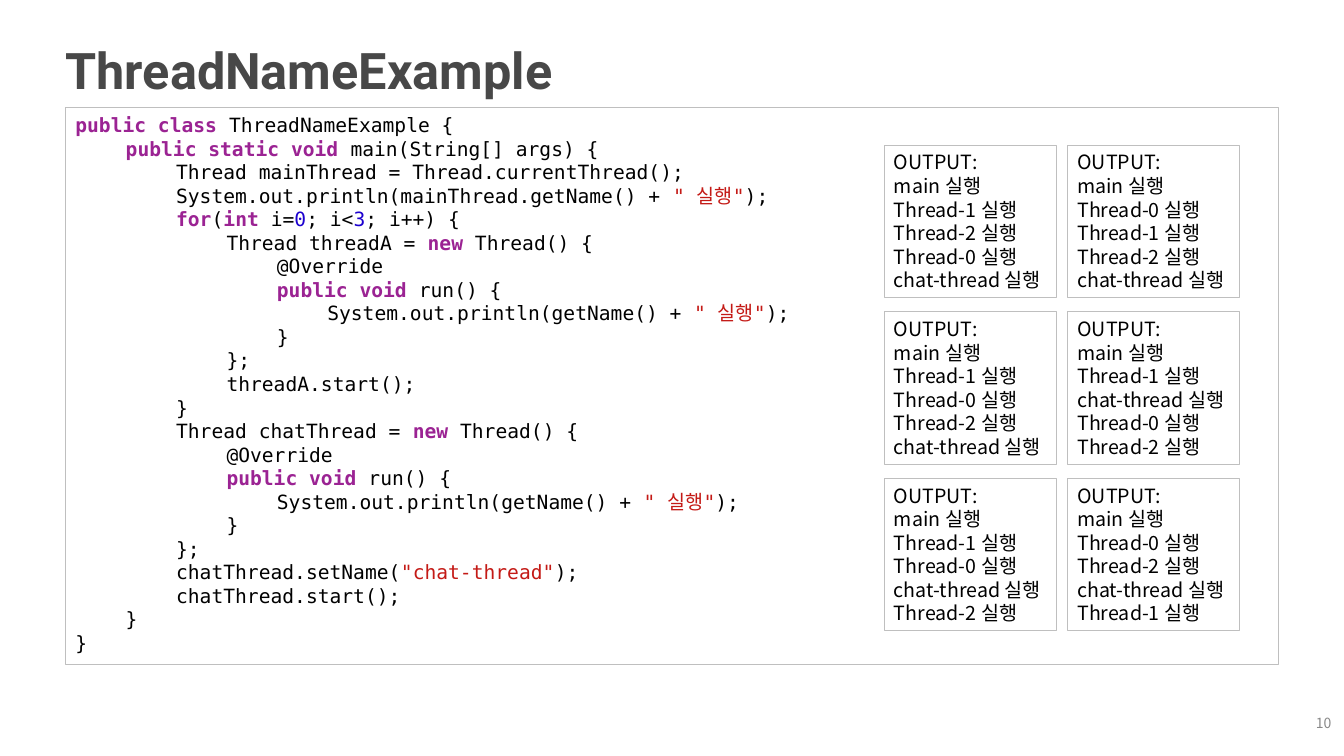
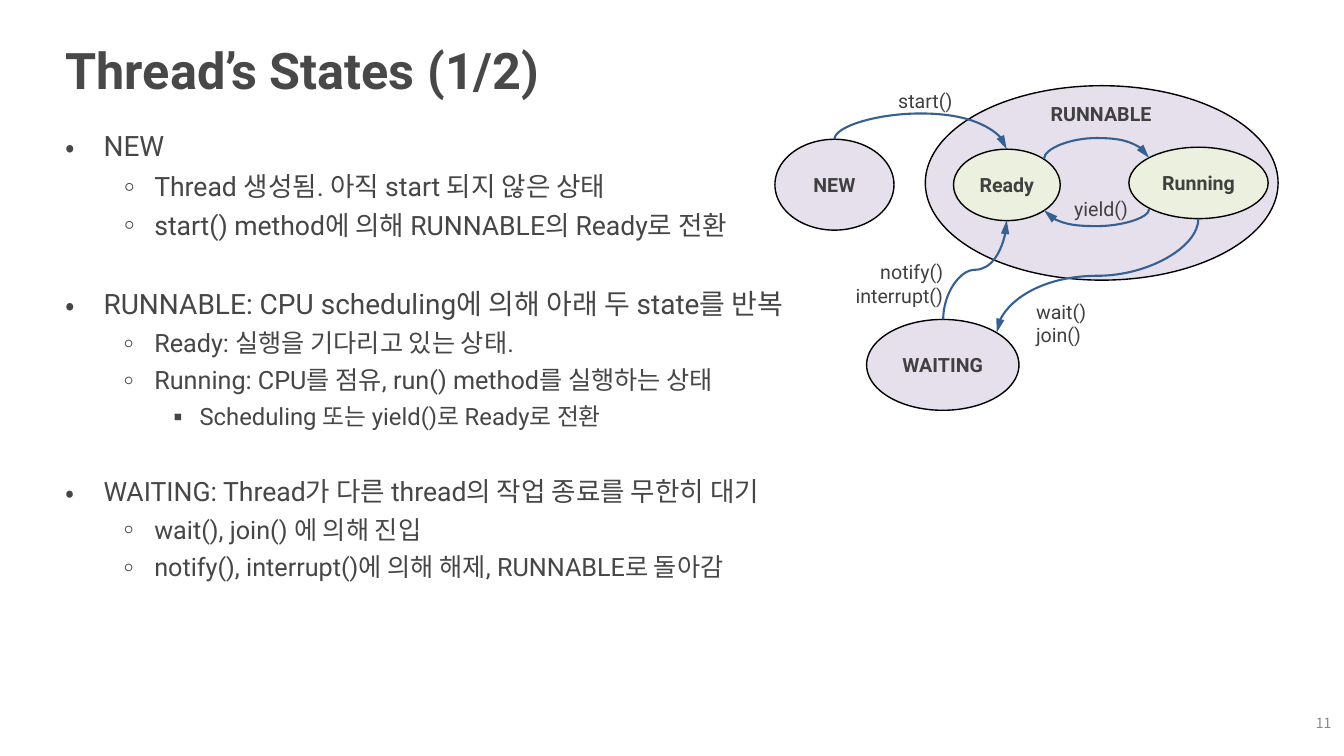
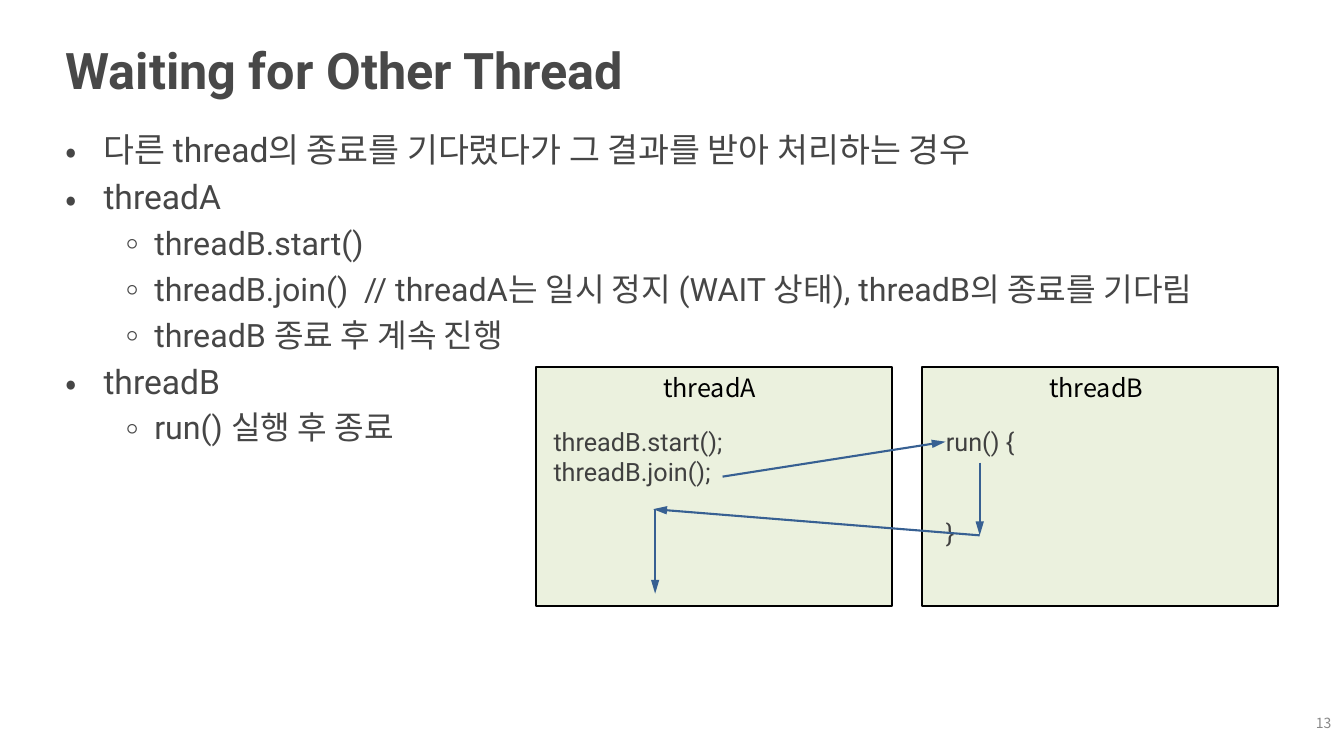
from dataclasses import dataclass

from lxml import etree
from pptx import Presentation
from pptx.dml.color import RGBColor
from pptx.enum.shapes import MSO_CONNECTOR, MSO_SHAPE
from pptx.enum.text import MSO_ANCHOR, PP_ALIGN
from pptx.oxml.ns import qn
from pptx.util import Cm, Pt

RECT, OVAL = MSO_SHAPE.RECTANGLE, MSO_SHAPE.OVAL
STRAIGHT, CURVE = MSO_CONNECTOR.STRAIGHT, MSO_CONNECTOR.CURVE
LEFT, CENTER, RIGHT = PP_ALIGN.LEFT, PP_ALIGN.CENTER, PP_ALIGN.RIGHT
TOP, MIDDLE = MSO_ANCHOR.TOP, MSO_ANCHOR.MIDDLE


@dataclass(frozen=True)
class Theme:
    sans: str = "Roboto"
    korean: str = "Noto Sans CJK KR"
    mono: str = "DejaVu Sans Mono"
    title: str = "484848"
    body: str = "464646"
    label: str = "404040"
    page: str = "888888"
    black: str = "000000"
    keyword: str = "9B2393"
    string: str = "C41A16"
    number: str = "1C00CF"
    frame: str = "BFBFBF"
    lilac: str = "E6E0EC"
    green: str = "EBF1DE"
    arrow: str = "376092"
    title_size: int = 36
    box_size: int = 18
    code_size: int = 14
    page_size: int = 10
    leading: float = 1.2


THEME = Theme()


@dataclass(frozen=True)
class Line:
    text: str
    level: int = 0
    size: float = 0
    gap: float = 0


# Code lines: (level, text), with "|" between differently coloured pieces
CODE = [
    (0, "public class |ThreadNameExample {"),
    (1, "public static void| main(String[] args) {"),
    (2, "Thread mainThread = Thread.currentThread();"),
    (2, 'System.out.println(mainThread.getName() + |" 실행"|);'),
    (2, "for|(|int |i=|0|; i<|3|; i++) {"),
    (3, "Thread threadA = |new| Thread() {"),
    (4, "@Override"),
    (4, "public void| run() {"),
    (5, 'System.out.println(getName() + |" 실행"|);'),
    (4, "}"),
    (3, "};"),
    (3, "threadA.start();"),
    (2, "}"),
    (2, "Thread chatThread = |new| Thread() {"),
    (3, "@Override"),
    (3, "public void| run() {"),
    (4, 'System.out.println(getName() + |" 실행"|);'),
    (3, "}"),
    (2, "};"),
    (2, 'chatThread.setName(|"chat-thread"|);'),
    (2, "chatThread.start();"),
    (1, "}"),
    (0, "}"),
]
KEYWORDS = {"public", "class", "static", "void", "for", "int", "new"}

T0, T1, T2, CHAT = "Thread-0", "Thread-1", "Thread-2", "chat-thread"
OUTPUTS = [
    [(T1, T2, T0, CHAT), (T0, T1, T2, CHAT)],
    [(T1, T0, T2, CHAT), (T1, CHAT, T0, T2)],
    [(T1, T0, CHAT, T2), (T0, T2, CHAT, T1)],
]

STATE_NOTES = [
    Line("NEW", 0, 20),
    Line("Thread 생성됨. 아직 start 되지 않은 상태", 1, 19),
    Line("start() method에 의해 RUNNABLE의 Ready로 전환", 1, 19),
    Line("RUNNABLE: CPU scheduling에 의해 아래 두 state를 반복", 0, 20, 28),
    Line("Ready: 실행을 기다리고 있는 상태.", 1, 18),
    Line("Running: CPU를 점유, run() method를 실행하는 상태", 1, 18),
    Line("Scheduling 또는 yield()로 Ready로 전환", 2, 17),
    Line("WAITING: Thread가 다른 thread의 작업 종료를 무한히 대기", 0, 19, 27),
    Line("wait(), join() 에 의해 진입", 1, 18),
    Line("notify(), interrupt()에 의해 해제, RUNNABLE로 돌아감", 1, 18),
]
STATES = [
    ("", (23.32, 2.16, 8.89, 4.9), THEME.lilac),
    ("NEW", (19.53, 3.51, 3, 2.29), THEME.lilac),
    ("Ready", (24.03, 3.76, 2.69, 1.8), THEME.green),
    ("Running", (28.45, 3.71, 3.51, 1.8), THEME.green),
    ("WAITING", (21.84, 8.05, 3.84, 2.29), THEME.lilac),
]
# Start, end, height of the bend, rotation in degrees
TRANSITIONS = [
    ((23.77, 8.05), (25.37, 5.55), 6.8, 90),
    ((30.2, 5.51), (25.12, 8.38), 6.95, 90),
    ((21.03, 3.51), (25.37, 3.76), 2.86, 270),
    ((26.31, 4.01), (28.96, 3.98), 3.48, 90),
    ((28.96, 5.27), (26.31, 5.3), 5.7, 90),
]
STATE_LABELS = [
    (["RUNNABLE"], (26.24, 2.44, 3.02, 0.86), CENTER, True),
    (["start()"], (22.32, 2.11, 2, 0.86), CENTER, False),
    (["notify()", "interrupt()"], (21.16, 6.43, 2.74, 1.45), RIGHT, False),
    (["wait()", "join()"], (25.98, 7.42, 2, 1.45), LEFT, False),
    (["yield()"], (26.75, 4.83, 2, 0.86), CENTER, False),
]

JOIN_NOTES = [
    Line("다른 thread의 종료를 기다렸다가 그 결과를 받아 처리하는 경우", 0, 24),
    Line("threadA", 0, 24),
    Line("threadB.start()", 1, 23),
    Line("threadB.join()  // threadA는 일시 정지 (WAIT 상태), threadB의 종료를 기다림", 1, 23),
    Line("threadB 종료 후 계속 진행", 1, 23),
    Line("threadB", 0, 24),
    Line("run() 실행 후 종료", 1, 23),
]
# Name, left edge, left inset, statements
THREADS = [
    ("threadA", 13.51, 0.44, ["threadB.start();", "threadB.join();"]),
    ("threadB", 23.24, 0.6, ["run() {", Line("}", gap=43.2)]),
]
JOIN_ARROWS = [
    ((18.21, 12.01), (23.83, 11.13)),
    ((24.69, 13.49), (16.46, 12.83)),
    ((16.51, 12.83), (16.51, 14.96)),
    ((24.69, 11.66), (24.69, 13.49)),
]

# Left margin, hanging indent and bullet of each level
BULLETS = [(0.96, -0.96, "•"), (2.24, -0.96, "◦"), (3.38, -0.84, "▪")]
CODE_LEVELS = [(1.27 * level, 0, "") for level in range(6)]
NORMAL, TIGHT = (0.25, 0.13, 0.25, 0.13), (0.13,) * 4


def code_format(piece):
    """Return the colour and weight of a piece of code."""
    if set(piece.split()) <= KEYWORDS:
        return THEME.keyword, True
    if piece.startswith('"'):
        return THEME.string, False
    return (THEME.number if piece.isdigit() else THEME.black), False


def write(shape, lines, *, size=THEME.code_size, font=THEME.sans,
          color=THEME.label, bold=False, align=LEFT, anchor=TOP, inset=TIGHT,
          wrap=True, before=0, levels=None, code=False):
    frame = shape.text_frame
    frame.word_wrap, frame.vertical_anchor = wrap, anchor
    (frame.margin_left, frame.margin_top,
     frame.margin_right, frame.margin_bottom) = map(Cm, inset)
    for index, line in enumerate(lines):
        line = line if isinstance(line, Line) else Line(line)
        paragraph = frame.add_paragraph() if index else frame.paragraphs[0]
        points = line.size or size
        paragraph.alignment, paragraph.level = align, line.level
        paragraph.line_spacing = Pt(points * THEME.leading)
        paragraph.space_before = Pt(before + line.gap)
        if levels:
            margin, hanging, bullet = levels[line.level]
            properties = paragraph._p.get_or_add_pPr()
            properties.set("marL", str(Cm(margin)))
            properties.set("indent", str(Cm(hanging)))
            if bullet:
                etree.SubElement(properties, qn("a:buFont"), typeface=THEME.korean)
                etree.SubElement(properties, qn("a:buChar"), char=bullet)
        for piece in filter(None, line.text.split("|") if code else [line.text]):
            run = paragraph.add_run()
            run.text = piece
            tint, weight = code_format(piece) if code else (color, bold)
            run.font.size, run.font.name, run.font.bold = Pt(points), font, weight
            run.font.color.rgb = RGBColor.from_string(tint)
            etree.SubElement(run._r.get_or_add_rPr(), qn("a:ea"),
                             typeface=THEME.korean)


def add_text(slide, box, lines, **style):
    write(slide.shapes.add_textbox(*map(Cm, box)), lines, **style)


def add_box(slide, kind, box, fill=None, line=THEME.black, width=1):
    shape = slide.shapes.add_shape(kind, *map(Cm, box))
    shape.shadow.inherit = False
    if fill:
        shape.fill.solid()
        shape.fill.fore_color.rgb = RGBColor.from_string(fill)
    else:
        shape.fill.background()
    shape.line.color.rgb = RGBColor.from_string(line)
    shape.line.width = Pt(width)
    return shape


def add_arrow(slide, start, end, kind=STRAIGHT):
    arrow = slide.shapes.add_connector(kind, *map(Cm, (*start, *end)))
    arrow.line.color.rgb = RGBColor.from_string(THEME.arrow)
    arrow.line.width = Pt(1.5)
    etree.SubElement(arrow.line._get_or_add_ln(), qn("a:tailEnd"),
                     type="triangle", len="lg")
    etree.SubElement(arrow.element.spPr, qn("a:effectLst"))
    return arrow


def add_curve(slide, start, end, bend, turn):
    """Draw a curve that leaves and arrives vertically, turning at height bend."""
    (x1, y1), (x2, y2) = start, end
    side = 1 if turn == 90 else -1
    mid_x, mid_y = (x1 + x2) / 2, (y1 + y2) / 2
    along, across = side * (y1 - y2) / 2, side * (x2 - x1) / 2
    curve = add_arrow(slide, (mid_x + along, mid_y + across),
                      (mid_x - along, mid_y - across), CURVE)
    properties = curve.element.spPr
    properties.find(qn("a:xfrm")).set("rot", str(turn * 60000))
    guides = properties.find(qn("a:prstGeom")).find(qn("a:avLst"))
    ratio = round((bend - y1) / (y2 - y1) * 100000)
    etree.SubElement(guides, qn("a:gd"), name="adj1", fmla=f"val {ratio}")


def new_slide(deck, title, page):
    slide = deck.slides.add_slide(deck.slide_layouts[6])
    add_text(slide, (1.52, 0.74, 30.68, 2.01), [title], size=THEME.title_size,
             color=THEME.title, bold=True, anchor=MIDDLE)
    add_text(slide, (32.21, 17.88, 1.47, 0.69), [str(page)], size=THEME.page_size,
             font=THEME.korean, color=THEME.page, align=RIGHT, anchor=MIDDLE)
    return slide


def add_notes_body(slide, lines, width):
    add_text(slide, (1.52, 3.12, width, 15.01), lines, color=THEME.body,
             before=5, levels=BULLETS)


def build_name_example(deck):
    slide = new_slide(deck, "ThreadNameExample", 10)
    listing = add_box(slide, RECT, (1.65, 2.72, 30.56, 14.02),
                      line=THEME.frame, width=0.75)
    write(listing, [Line(text, level) for level, text in CODE], font=THEME.mono,
          inset=NORMAL, levels=CODE_LEVELS, code=True)
    for row, outputs in enumerate(OUTPUTS):
        for column, threads in enumerate(outputs):
            box = (22.28 + 4.62 * column, 3.66 + 4.2 * row, 4.34, 3.84)
            output = add_box(slide, RECT, box, line=THEME.frame, width=0.75)
            lines = ["OUTPUT:"] + [f"{name} 실행" for name in ("main", *threads)]
            write(output, lines, font=THEME.korean, color=THEME.black, inset=NORMAL)


def build_states(deck):
    slide = new_slide(deck, "Thread’s States (1/2)", 11)
    add_notes_body(slide, STATE_NOTES, 19.84)
    for name, box, fill in STATES:
        state = add_box(slide, OVAL, box, fill)
        if name:
            write(state, [name], bold=True, align=CENTER, anchor=MIDDLE)
    for transition in TRANSITIONS:
        add_curve(slide, *transition)
    for lines, box, align, bold in STATE_LABELS:
        add_text(slide, box, lines, align=align, bold=bold, anchor=MIDDLE)


def build_join(deck):
    slide = new_slide(deck, "Waiting for Other Thread", 13)
    add_notes_body(slide, JOIN_NOTES, 30.68)
    top = 9.25
    for name, left, inset, statements in THREADS:
        thread = add_box(slide, RECT, (left, top, 8.97, 6.02), THEME.green)
        write(thread, statements, size=THEME.box_size,
              inset=(inset, 1.49, 0.13, 0.13))
        add_text(slide, (left + 2.95, top, 3.07, 1.02), [name], size=THEME.box_size,
                 font=THEME.korean, color=THEME.black, inset=NORMAL)
    for start, end in JOIN_ARROWS:
        add_arrow(slide, start, end)


def main():
    deck = Presentation()
    deck.slide_width, deck.slide_height = Cm(33.87), Cm(19.05)
    for build in (build_name_example, build_states, build_join):
        build(deck)
    deck.save("out.pptx")


if __name__ == "__main__":
    main()
